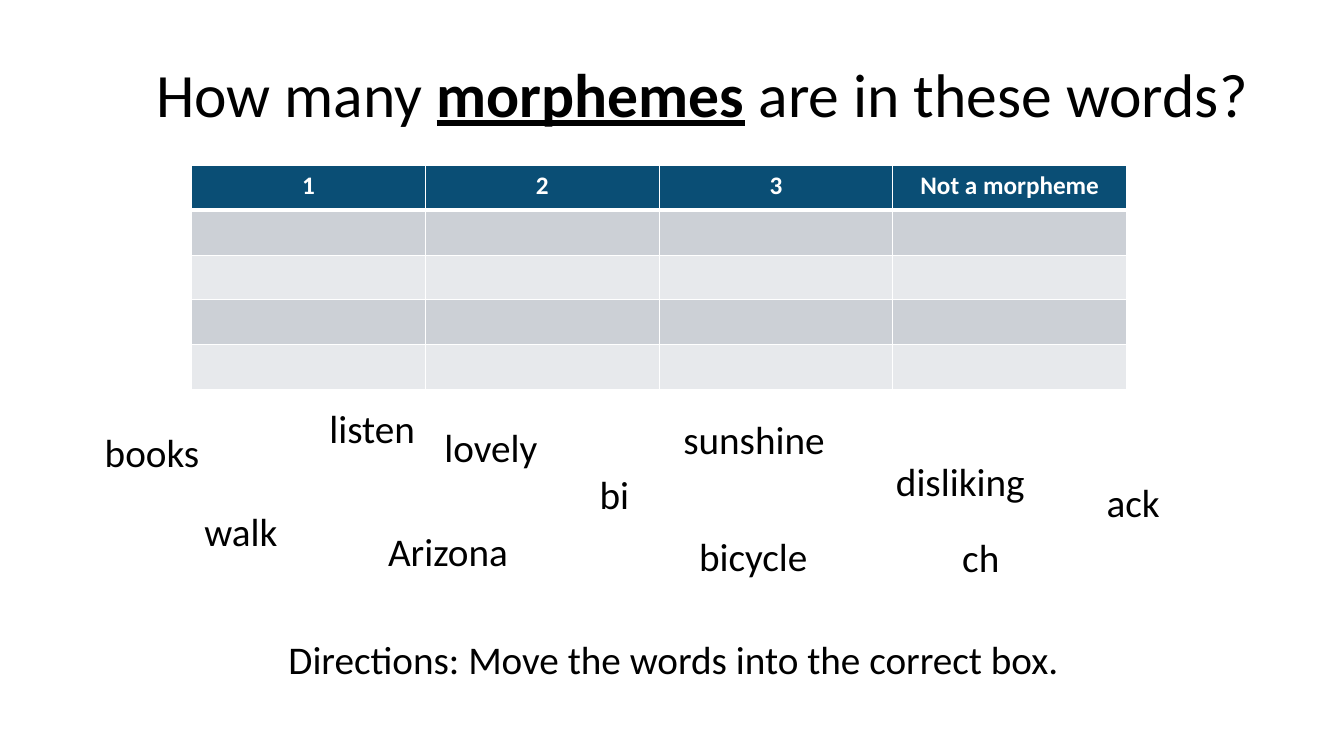
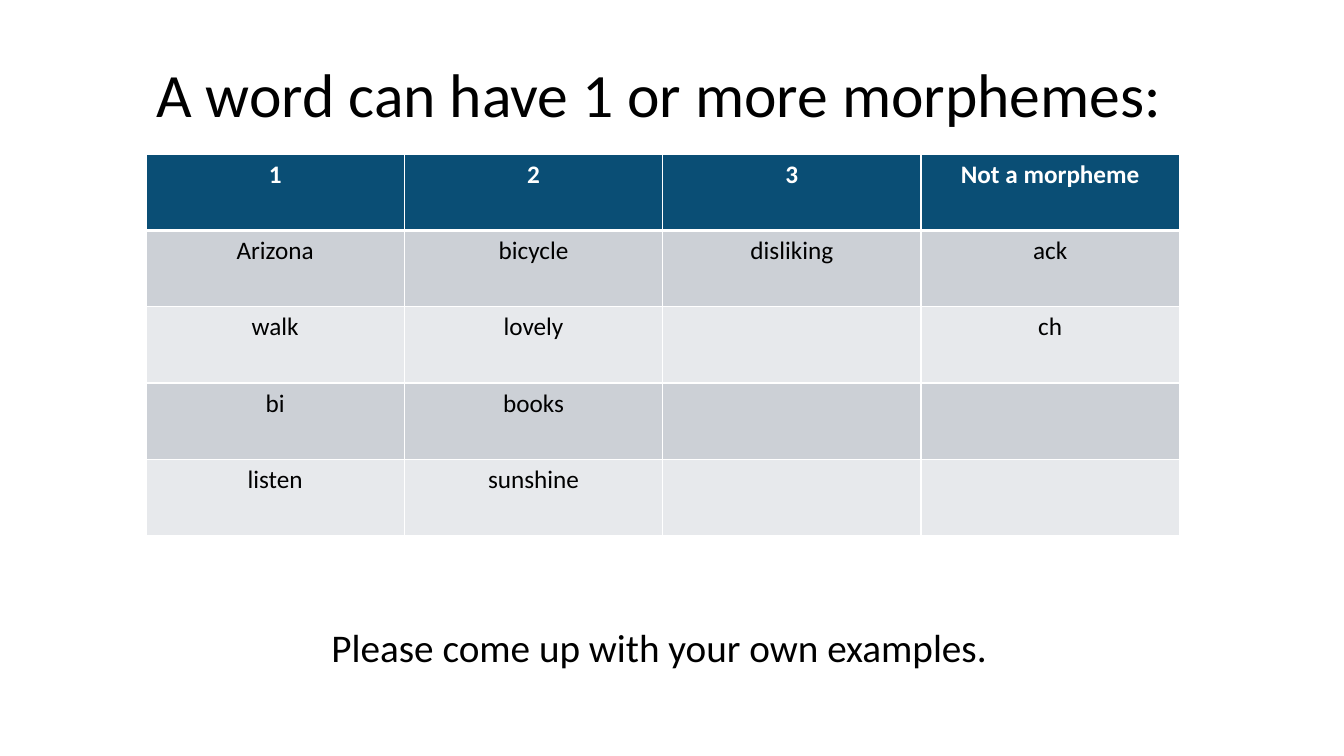
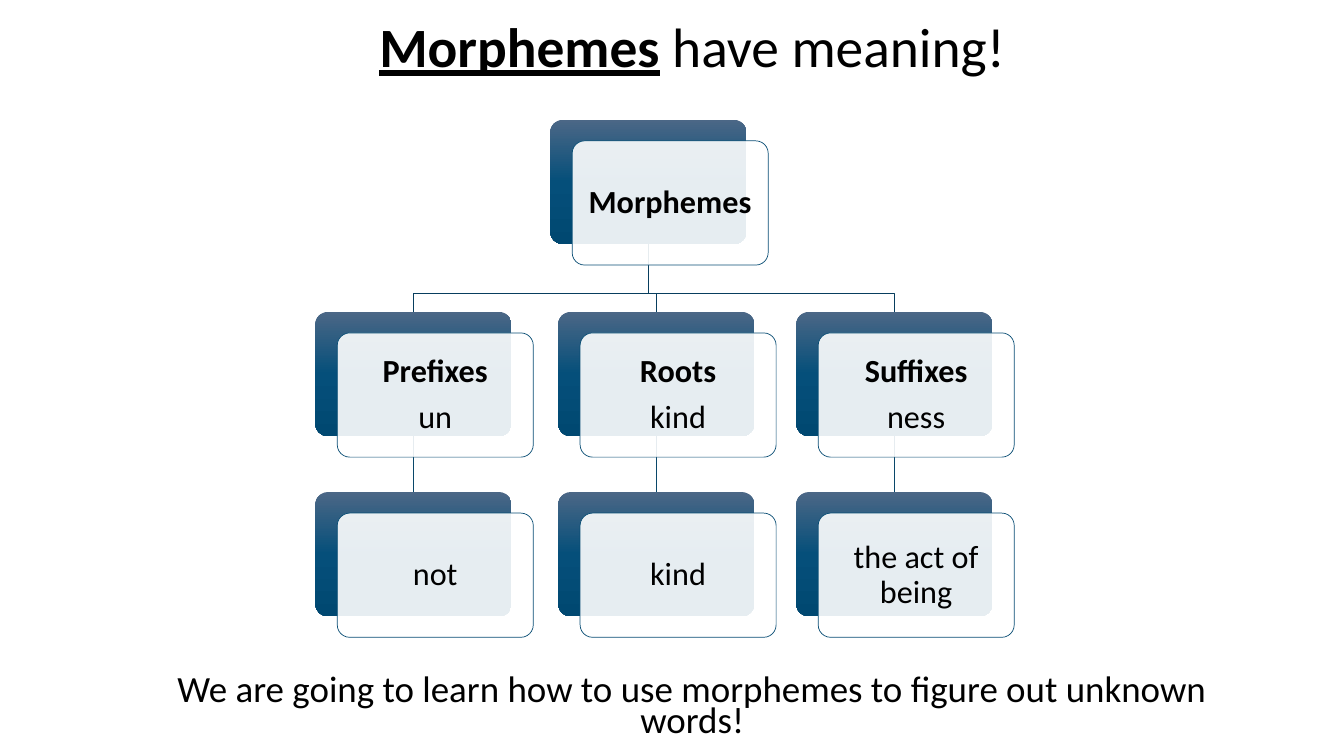
import copy
import dataclasses

import lxml.etree
import pptx
import pptx.dml.color
import pptx.enum.shapes
import pptx.enum.text
import pptx.oxml.ns
import pptx.util

Cm = pptx.util.Cm
Pt = pptx.util.Pt
RGB = pptx.dml.color.RGBColor.from_string
qn = pptx.oxml.ns.qn
ALIGN = pptx.enum.text.PP_ALIGN
ANCHOR = pptx.enum.text.MSO_ANCHOR
AUTO_SIZE = pptx.enum.text.MSO_AUTO_SIZE
SHAPE = pptx.enum.shapes.MSO_SHAPE


@dataclasses.dataclass(frozen=True)
class Theme:
    font: str = "Calibri"
    ink: str = "000000"
    white: str = "FFFFFF"
    header: str = "0A4E75"
    bands: tuple = ("CCD0D6", "E7E9EC")
    card_stops: tuple = ((0, "4B6786"), (0.5, "054F7A"), (1, "004871"))
    trunk: str = "083E5E"
    branch: str = "09476A"
    title: float = 44
    tree_title: float = 39.6
    body: float = 28
    closing: float = 26.4
    card: float = 23
    cell: float = 18


theme = Theme()


def format_text(tf, size, align=ALIGN.CENTER, color=theme.ink, spacing=1.0, bold=False):
    for p in tf.paragraphs:
        p.alignment = align
        p.line_spacing = spacing
        for r in p.runs:
            r.font.name = theme.font
            r.font.size = Pt(size)
            r.font.color.rgb = RGB(color)
            r.font.bold = bold


def add_title_slide(runs, key_term, box, size, align):
    """Add a title-only slide; the run equal to key_term is bold and underlined."""
    s = prs.slides.add_slide(prs.slide_layouts[5])
    title = s.shapes.title
    title.left, title.top, title.width, title.height = map(Cm, box)
    tf = title.text_frame
    tf.word_wrap = True
    tf.auto_size = AUTO_SIZE.NONE
    tf.vertical_anchor = ANCHOR.MIDDLE
    for text in runs:
        tf.paragraphs[0].add_run().text = text
    format_text(tf, size, align, spacing=0.9)
    for r in tf.paragraphs[0].runs:
        r.font.bold = r.font.underline = r.text == key_term
    return s


prs = pptx.Presentation()
prs.slide_width, prs.slide_height = Cm(33.87), Cm(19.05)

# Slides 1 and 2: sorting tables
header = ["1", "2", "3", "Not a morpheme"]
sorting_slides = [
    dict(
        title=["How many ", "morphemes", " are in these words?"],
        left=4.83, top=4.17, col_width=5.89, row_height=1.13,
        rows=[[""] * 4] * 4,
        note="Directions: Move the words into the correct box.",
        note_left=2.16, note_top=15.88,
    ),
    dict(
        title=["A word can have 1 or more morphemes:"],
        left=3.68, top=3.89, col_width=6.51, row_height=1.92,
        rows=[
            ["Arizona", "bicycle", "disliking", "ack"],
            ["walk", "lovely", "", "ch"],
            ["bi", "books", "", ""],
            ["listen", "sunshine", "", ""],
        ],
        note="Please come up with your own examples.",
        note_left=1.8, note_top=15.57,
    ),
]
for item in sorting_slides:
    s = add_title_slide(item["title"], "morphemes", (3.68, 0.61, 29.21, 3.68),
                        theme.title, ALIGN.LEFT)
    rows = [header] + item["rows"]
    table = s.shapes.add_table(
        len(rows), len(header), Cm(item["left"]), Cm(item["top"]),
        Cm(item["col_width"] * len(header)), Cm(item["row_height"] * len(rows)),
    ).table
    for i, row in enumerate(rows):
        table.rows[i].height = Cm(item["row_height"])
        for j, text in enumerate(row):
            cell = table.cell(i, j)
            cell.text = text
            format_text(cell.text_frame, theme.cell, bold=i == 0,
                        color=theme.ink if i else theme.white)
            cell.fill.solid()
            cell.fill.fore_color.rgb = RGB(theme.bands[(i - 1) % 2] if i else theme.header)
            tcPr = cell._tc.get_or_add_tcPr()
            for k, side in enumerate(("lnL", "lnR", "lnT", "lnB")):
                thick = (i, side) in ((0, "lnB"), (1, "lnT"))
                ln = lxml.etree.Element(qn("a:" + side), w=str(Pt(3 if thick else 1)))
                fill = lxml.etree.SubElement(ln, qn("a:solidFill"))
                lxml.etree.SubElement(fill, qn("a:srgbClr"), val=theme.white)
                tcPr.insert(k, ln)
    note = s.shapes.add_textbox(Cm(item["note_left"]), Cm(item["note_top"]),
                                Cm(29.62), Cm(2.03))
    note.text_frame.word_wrap = True
    note.text_frame.text = item["note"]
    format_text(note.text_frame, theme.body)

# Slide 1: loose words to sort
words = [
    ("bicycle", 17.37, 13.28, 3.28), ("walk", 4.9, 12.67, 2.36),
    ("ch", 24, 13.31, 1.47), ("Arizona", 9.53, 13.16, 3.71),
    ("listen", 8.05, 10.06, 2.69), ("books", 2.39, 10.67, 2.92),
    ("sunshine", 16.97, 10.34, 4.11), ("lovely", 10.95, 10.54, 2.87),
    ("disliking", 22.33, 11.4, 3.78), ("ack", 27.64, 11.94, 1.85),
    ("bi", 14.86, 11.73, 1.27),
]
for word, left, top, width in words:
    sp = prs.slides[0].shapes.add_textbox(Cm(left), Cm(top), Cm(width), Cm(1.45))
    tf = sp.text_frame
    tf.word_wrap = False
    tf.auto_size = AUTO_SIZE.SHAPE_TO_FIT_TEXT
    tf.text = word
    format_text(tf, theme.body, ALIGN.LEFT)

# Slide 3: morpheme tree
s = add_title_slide(["Morphemes", " have meaning!"], "Morphemes", (2.84, 0.51, 29.21, 1.47),
                    theme.tree_title, ALIGN.CENTER)
card_w, card_h = 4.94, 3.13
root_left, root_top = 13.87, 3.02
part_top, meaning_top, bend_y = 7.86, 12.4, 7.39
root_mid = root_left + card_w / 2
parts = [
    (7.95, "Prefixes", "un", "not"),
    (14.07, "Roots", "kind", "kind"),
    (20.07, "Suffixes", "ness", "the act of being"),
]
cards = [(root_left, root_top, "Morphemes", True)]
for left, name, example, meaning in parts:
    mid = left + card_w / 2
    branch = s.shapes.add_connector(
        pptx.enum.shapes.MSO_CONNECTOR.STRAIGHT,
        Cm(mid), Cm(part_top + card_h), Cm(mid), Cm(meaning_top))
    lxml.etree.SubElement(branch._element.spPr, qn("a:effectLst"))
    outline = s.shapes.build_freeform(Cm(root_mid), Cm(root_top + card_h))
    outline.add_line_segments(
        [(Cm(x), Cm(y)) for x, y in ((root_mid, bend_y), (mid, bend_y), (mid, part_top))],
        close=False)
    trunk = outline.convert_to_shape()
    trunk.fill.background()
    trunk.shadow.inherit = False
    for line, color in ((branch.line, theme.branch), (trunk.line, theme.trunk)):
        line.color.rgb = RGB(color)
        line.width = Pt(0.5)
    cards += [(left, part_top, f"{name}\n{example}", True),
              (left, meaning_top, meaning, False)]

for left, top, text, has_heading in cards:
    back, front = [
        s.shapes.add_shape(SHAPE.ROUNDED_RECTANGLE, Cm(left + dx), Cm(top + dy),
                           Cm(card_w), Cm(card_h))
        for dx, dy in ((0, 0), (0.55, 0.53))
    ]
    for sp in (back, front):
        sp.adjustments[0] = 0.1
        sp.shadow.inherit = False

    back.line.fill.background()
    back.fill.gradient()
    back.fill.gradient_angle = 270
    gs_list = back._element.spPr.find(".//" + qn("a:gsLst"))
    gs_list.insert(1, copy.deepcopy(gs_list[0]))
    for stop, (position, color) in zip(back.fill.gradient_stops, theme.card_stops):
        stop.position = position
        stop.color.rgb = RGB(color)

    front.fill.solid()
    front.fill.fore_color.rgb = RGB(theme.white)
    white = front._element.spPr.find(qn("a:solidFill")).find(qn("a:srgbClr"))
    lxml.etree.SubElement(white, qn("a:alpha"), val="90000")
    front.line.color.rgb = RGB(theme.header)
    front.line.width = Pt(0.5)
    tf = front.text_frame
    tf.word_wrap = True
    tf.vertical_anchor = ANCHOR.MIDDLE
    tf.margin_left = tf.margin_right = tf.margin_top = tf.margin_bottom = Cm(0.25)
    tf.text = text
    format_text(tf, theme.card, spacing=0.9)
    tf.paragraphs[0].runs[0].font.bold = has_heading
    for p in tf.paragraphs:
        p.space_after = Pt(8)

closing = s.shapes.add_textbox(Cm(2.84), Cm(17.12), Cm(29.21), Cm(1.47))
tf = closing.text_frame
tf.word_wrap = True
tf.vertical_anchor = ANCHOR.MIDDLE
tf.text = "We are going to learn how to use morphemes to figure out unknown words!"
format_text(tf, theme.closing, spacing=0.7)

prs.save("out.pptx")
